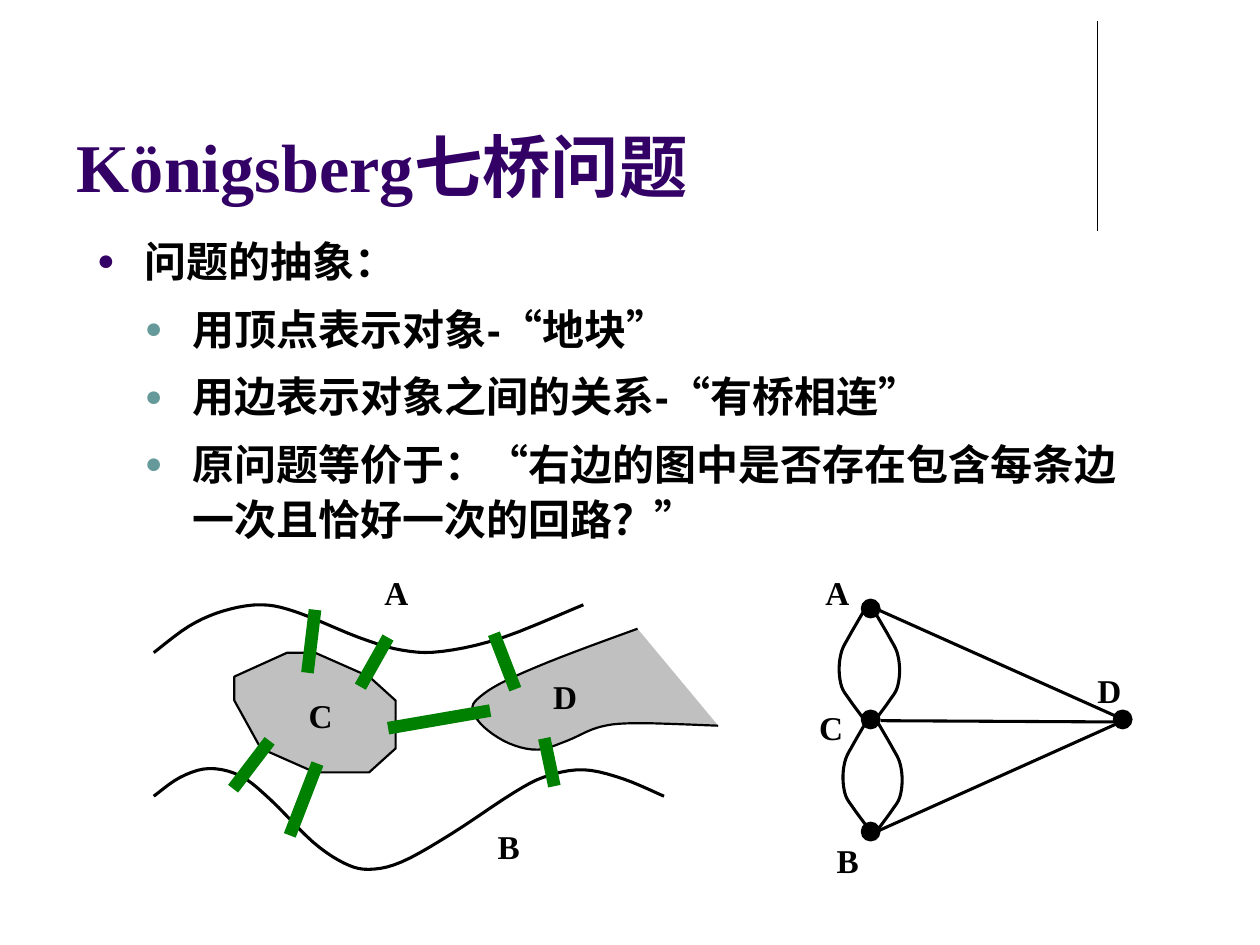
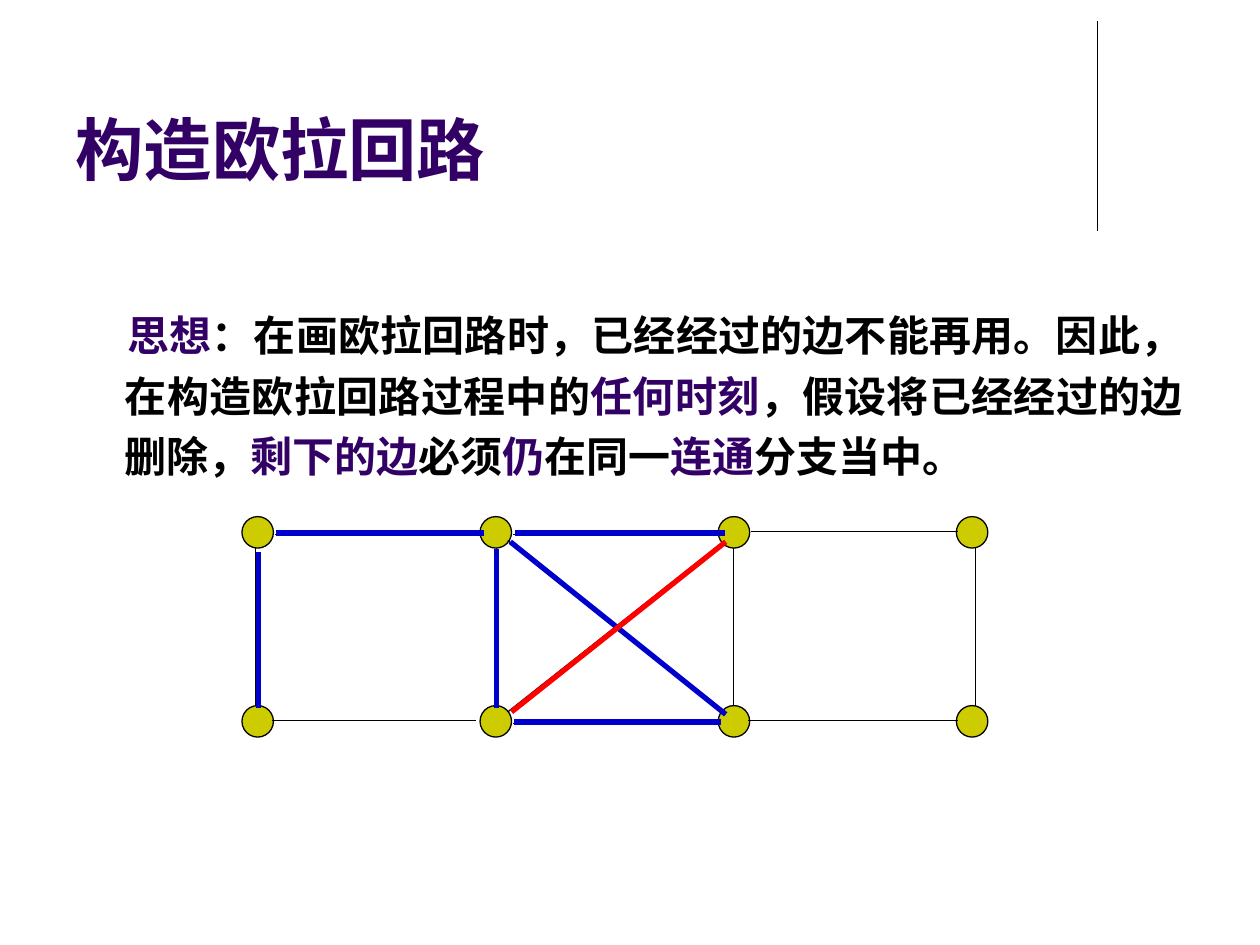
import math
from typing import NamedTuple

from lxml import etree
from pptx import Presentation
from pptx import util as u
from pptx.dml.color import RGBColor
from pptx.enum import shapes, text
from pptx.oxml import ns
from pptx.util import Inches

COLORS = {
    "title": "330066",
    "ink": "000000",
    "sub_bullet": "669999",
    "land": "C0C0C0",
    "bridge": "008000",
    "node": "CCCC00",
    "walked": "0000CC",
    "next": "FF0000",
}
SANS, SERIF = "Arial", "Times New Roman"
INDENT = 0.38

Point = tuple[float, float]


class Box(NamedTuple):
    left: float
    top: float
    width: float
    height: float

    def lengths(self) -> list[int]:
        return [Inches(value) for value in self]


class Edge(NamedTuple):
    x1: float
    y1: float
    x2: float
    y2: float


class Label(NamedTuple):
    letter: str
    left: float
    top: float


class Arc(NamedTuple):
    x: float
    y: float
    side: int  # -1 bulges left, 1 bulges right


class Span(NamedTuple):
    words: str
    color: str = "ink"


NORTH_BANK = [(1.22, 5.18), (1.5, 4.97), (1.77, 4.85), (2.07, 4.8), (2.36, 4.86), (2.85, 5.06),
              (3.19, 5.16), (3.51, 5.17), (3.99, 5.06), (4.63, 4.8)]
SOUTH_BANK = [(1.22, 6.32), (1.43, 6.17), (1.66, 6.1), (1.91, 6.16), (2.15, 6.35), (2.48, 6.68),
              (2.73, 6.85), (2.93, 6.9), (3.19, 6.84), (3.58, 6.62), (4.08, 6.29), (4.34, 6.16),
              (4.63, 6.11), (4.94, 6.18), (5.27, 6.32)]
EAST_SHORE = [(5.06, 4.99), (4.44, 5.22), (4.02, 5.4), (3.81, 5.53), (3.75, 5.63), (3.84, 5.77),
              (4.04, 5.9), (4.27, 5.95), (4.5, 5.88), (4.76, 5.77), (5.06, 5.74), (5.7, 5.76)]
ISLAND = [(2.28, 5.18), (1.86, 5.37), (1.86, 5.56), (2.07, 5.94), (2.5, 6.13), (2.93, 6.13),
          (3.14, 5.94), (3.14, 5.56), (2.93, 5.37), (2.5, 5.18)]
BRIDGE_WIDTH = 0.1
BRIDGES = [
    Edge(2.5, 4.84, 2.44, 5.34), Edge(3.08, 5.06, 2.86, 5.45), Edge(2.14, 5.88, 1.85, 6.26),
    Edge(2.52, 6.06, 2.3, 6.63), Edge(3.92, 5.03, 4.09, 5.47), Edge(4.32, 5.86, 4.4, 6.24),
    Edge(3.08, 5.78, 3.89, 5.64),
]
ARC = [(0, 0), (0.11, 0.19), (0.17, 0.31), (0.19, 0.45), (0.17, 0.59), (0.11, 0.69), (0, 0.84)]
ARCS = [Arc(6.88, 5.72, -1), Arc(6.85, 4.86, -1), Arc(6.95, 4.87, 1), Arc(6.97, 5.74, 1)]
VERTICES = [(6.84, 4.76), (6.84, 5.64), (6.84, 6.53), (8.84, 5.64)]
GRAPH_EDGES = [Edge(6.97, 4.84, 8.87, 5.69), Edge(6.99, 5.72, 8.88, 5.73),
               Edge(6.98, 6.59, 8.85, 5.75)]
LABELS = [
    Label("C", 2.45, 5.52), Label("D", 4.39, 5.37), Label("A", 3.05, 4.54), Label("B", 3.95, 6.56),
    Label("A", 6.55, 4.54), Label("C", 6.5, 5.61), Label("B", 6.64, 6.67), Label("D", 8.71, 5.32),
]
ABSTRACTION = [
    (0, "问题的抽象："),
    (1, "用顶点表示对象-“地块”"),
    (1, "用边表示对象之间的关系-“有桥相连”"),
    (1, "原问题等价于：“右边的图中是否存在包含每条边一次且恰好一次的回路？”"),
]

IDEA = [
    Span("思想", "title"), Span("：在画欧拉回路时，已经经过的边不能再用。因此，在构造欧拉回路过程中的"),
    Span("任何时刻", "title"), Span("，假设将已经经过的边删除，"), Span("剩下的边", "title"),
    Span("必须"), Span("仍", "title"), Span("在同一"), Span("连通", "title"), Span("分支当中。"),
]
PLAIN_EDGES = [
    Edge(2.03, 4.35, 2.03, 5.6), Edge(2.18, 4.24, 3.83, 4.24), Edge(3.94, 4.35, 3.94, 5.61),
    Edge(2.16, 5.72, 3.78, 5.72), Edge(4.03, 5.65, 5.74, 4.3), Edge(5.82, 4.35, 5.82, 5.6),
    Edge(4.07, 5.74, 5.71, 5.74), Edge(5.96, 4.22, 7.6, 4.22), Edge(7.74, 4.35, 7.74, 5.6),
    Edge(5.94, 5.72, 7.6, 5.72), Edge(4.03, 4.29, 5.75, 5.66), Edge(4.07, 4.24, 5.72, 4.24),
]
WALKED_EDGES = [
    Edge(2.05, 4.38, 2.05, 5.62), Edge(2.19, 4.23, 3.84, 4.23), Edge(4.05, 4.3, 5.76, 5.67),
    Edge(4.08, 5.73, 5.72, 5.73), Edge(3.94, 4.36, 3.94, 5.62), Edge(4.09, 4.23, 5.75, 4.23),
]
NEXT_EDGE = Edge(4.06, 5.65, 5.76, 4.3)


def rgb(name: str) -> RGBColor:
    return RGBColor.from_string(COLORS[name])


def style_font(font, name: str, size: float, color: str) -> None:
    font.name, font.size, font.bold = name, u.Pt(size), True
    font.color.rgb = rgb(color)


def style_shape(shape, fill: str | None, line: float | None) -> None:
    shape.shadow.inherit = False
    if fill:
        shape.fill.solid()
        shape.fill.fore_color.rgb = rgb(fill)
    else:
        shape.fill.background()
    if line:
        shape.line.color.rgb = rgb("ink")
        shape.line.width = u.Pt(line)
    else:
        shape.line.fill.background()


def add_line(page, edge: Edge, width: float, color: str = "ink") -> None:
    ends = [Inches(value) for value in edge]
    line = page.shapes.add_connector(shapes.MSO_CONNECTOR.STRAIGHT, *ends)
    line.line.color.rgb = rgb(color)
    line.line.width = u.Pt(width)
    etree.SubElement(line._element.spPr, ns.qn("a:effectLst"))


def add_outline(page, points: list[Point], fill: str | None = None,
                line: float | None = None, close: bool = False) -> None:
    start, *rest = [(Inches(x), Inches(y)) for x, y in points]
    builder = page.shapes.build_freeform(*start)
    builder.add_line_segments(rest, close=close)
    style_shape(builder.convert_to_shape(), fill, line)


def add_dot(page, left: float, top: float, size: float, fill: str, line: float) -> None:
    box = Box(left, top, size, size)
    dot = page.shapes.add_shape(shapes.MSO_SHAPE.OVAL, *box.lengths())
    style_shape(dot, fill, line)


def add_label(page, label: Label) -> None:
    box = page.shapes.add_textbox(*Box(label.left, label.top, 0.19, 0.32).lengths())
    frame = box.text_frame
    frame.margin_left = frame.margin_right = frame.margin_top = frame.margin_bottom = 0
    frame.word_wrap = False
    frame.auto_size = text.MSO_AUTO_SIZE.SHAPE_TO_FIT_TEXT
    frame.text = label.letter
    style_font(frame.paragraphs[0].runs[0].font, SERIF, 19, "ink")


def smooth(knots: list[Point], steps: int = 5) -> list[Point]:
    """Points of the Catmull-Rom curve through the knots."""
    padded = [knots[0], *knots, knots[-1]]
    points = []
    for a, b, c, d in zip(padded, padded[1:], padded[2:], padded[3:]):
        for step in range(steps):
            t = step / steps
            points.append(tuple(
                (2 * q + (r - p) * t + (2 * p - 5 * q + 4 * r - s) * t**2
                 + (3 * q - p - 3 * r + s) * t**3) / 2
                for p, q, r, s in zip(a, b, c, d)))
    return [*points, knots[-1]]


def bridge_corners(axis: Edge) -> list[Point]:
    dx, dy = axis.x2 - axis.x1, axis.y2 - axis.y1
    half = BRIDGE_WIDTH / 2 / math.hypot(dx, dy)
    nx, ny = -dy * half, dx * half
    return [(axis.x1 + nx, axis.y1 + ny), (axis.x1 - nx, axis.y1 - ny),
            (axis.x2 - nx, axis.y2 - ny), (axis.x2 + nx, axis.y2 + ny)]


def set_indent(para, left: float, first: float, bullet: str | None = None) -> None:
    """Set margins in inches, and a round bullet in the named colour or none."""
    props = para._p.get_or_add_pPr()
    props.set("marL", str(Inches(left)))
    props.set("indent", str(Inches(first)))
    if not bullet:
        etree.SubElement(props, ns.qn("a:buNone"))
        return
    color = etree.SubElement(props, ns.qn("a:buClr"))
    etree.SubElement(color, ns.qn("a:srgbClr"), val=COLORS[bullet])
    etree.SubElement(props, ns.qn("a:buSzPct"), val="70000")
    etree.SubElement(props, ns.qn("a:buFont"), typeface=SANS)
    etree.SubElement(props, ns.qn("a:buChar"), char="●")


def place(holder, box: Box, anchor):
    holder.left, holder.top, holder.width, holder.height = box.lengths()
    frame = holder.text_frame
    frame.word_wrap = True
    frame.auto_size = text.MSO_AUTO_SIZE.NONE
    frame.vertical_anchor = anchor
    return frame


def new_page(deck, title: str, title_box: Box, title_font: str, body_box: Box):
    """Add a slide with the rule and title; return it with its body frame."""
    page = deck.slides.add_slide(deck.slide_layouts[1])
    add_line(page, Edge(8.71, 0.17, 8.71, 1.83), 0.75)
    heading = place(page.shapes.title, title_box, text.MSO_ANCHOR.BOTTOM)
    heading.text = title
    para = heading.paragraphs[0]
    para.alignment = text.PP_ALIGN.LEFT
    style_font(para.runs[0].font, title_font, 39, "title")
    return page, place(page.placeholders[1], body_box, text.MSO_ANCHOR.TOP)


def draw_bridges_page(deck) -> None:
    page, body = new_page(deck, "Königsberg七桥问题", Box(0.51, 0.44, 8.5, 1.25), SERIF,
                          Box(0.67, 1.78, 8.5, 2.76))
    body.text = "\n".join(words for _, words in ABSTRACTION)
    for index, (para, (level, _)) in enumerate(zip(body.paragraphs, ABSTRACTION)):
        para.level = level
        para.line_spacing = 1.1
        para.space_before = u.Pt(7 if index else 0)
        set_indent(para, INDENT * (level + 1), -INDENT, "sub_bullet" if level else "title")
        style_font(para.runs[0].font, SANS, 24, "ink")

    for bank in (NORTH_BANK, SOUTH_BANK):
        add_outline(page, smooth(bank), line=1.75)
    shore = smooth(EAST_SHORE)
    add_outline(page, shore, fill="land", close=True)
    add_outline(page, shore, line=1.25)
    add_outline(page, ISLAND, fill="land", line=1.25, close=True)
    for axis in BRIDGES:
        add_outline(page, bridge_corners(axis), fill="bridge", close=True)

    for arc in ARCS:
        knots = [(arc.x + arc.side * x, arc.y + y) for x, y in ARC]
        add_outline(page, smooth(knots), line=1.75)
    for left, top in VERTICES:
        add_dot(page, left, top, 0.14, "ink", 1.25)
    for edge in GRAPH_EDGES:
        add_line(page, edge, 1.75)
    for label in LABELS:
        add_label(page, label)


def draw_circuit_page(deck) -> None:
    page, body = new_page(deck, "构造欧拉回路", Box(0.5, 0.13, 8.25, 1.42), SANS,
                          Box(0.51, 2.33, 8.98, 1.49))
    para = body.paragraphs[0]
    para.alignment = text.PP_ALIGN.JUSTIFY
    para.line_spacing = 1.2
    para.space_before = u.Pt(0)
    set_indent(para, INDENT, 0.02)
    for span in IDEA:
        run = para.add_run()
        run.text = span.words
        style_font(run.font, SANS, 24, span.color)

    for top in (4.1, 5.6):
        for column in range(4):
            add_dot(page, 1.92 + 1.89 * column, top, 0.25, "node", 0.75)
    for edge in PLAIN_EDGES:
        add_line(page, edge, 0.75)
    for edge in WALKED_EDGES:
        add_line(page, edge, 3, "walked")
    add_line(page, NEXT_EDGE, 3, "next")


def main() -> None:
    deck = Presentation()
    deck.slide_width, deck.slide_height = Inches(10), Inches(7.5)
    draw_bridges_page(deck)
    draw_circuit_page(deck)
    deck.save("out.pptx")


if __name__ == "__main__":
    main()
